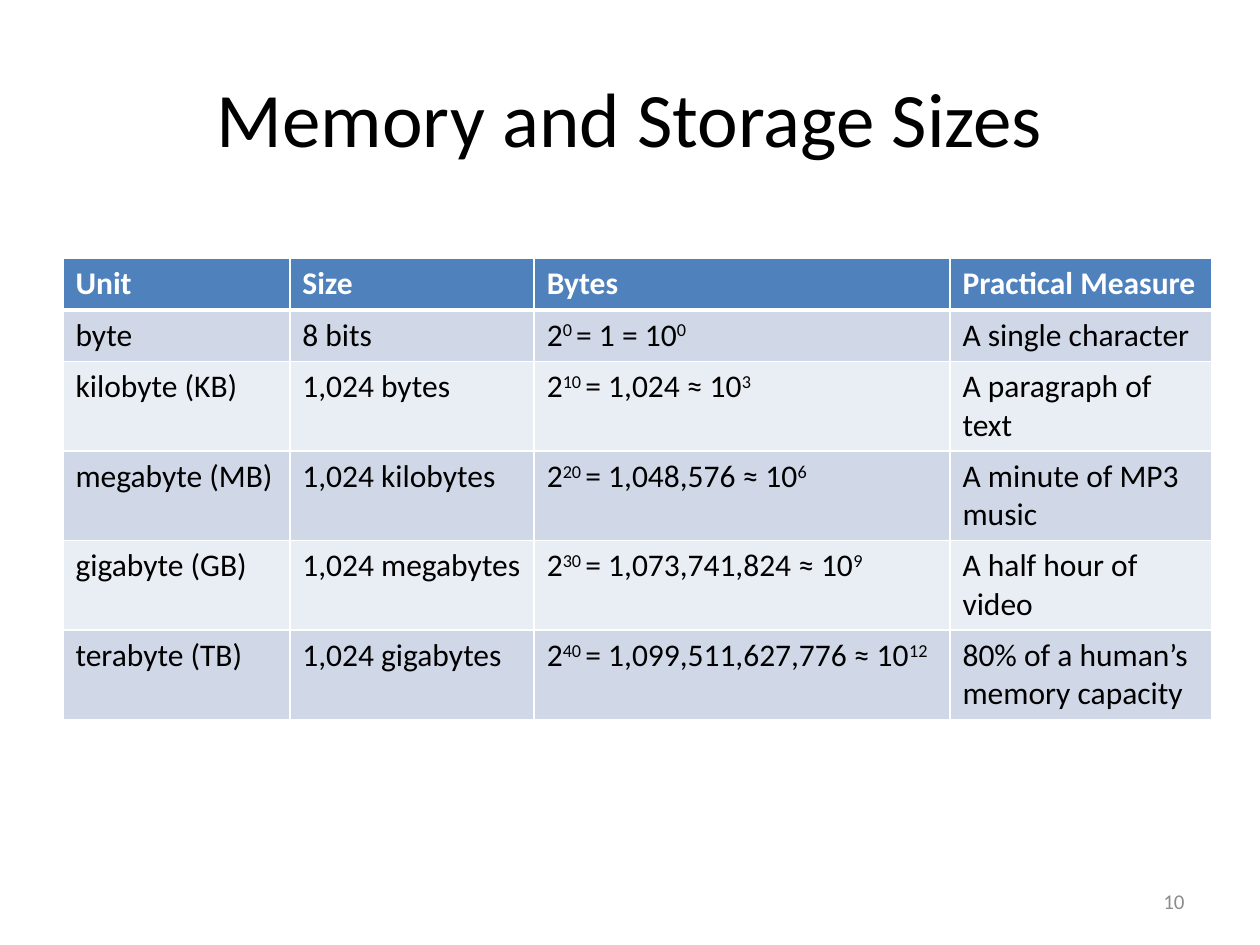
from dataclasses import dataclass

from lxml import etree
from pptx import Presentation
from pptx.dml.color import RGBColor
from pptx.enum.text import MSO_ANCHOR, PP_ALIGN
from pptx.oxml.ns import qn
from pptx.util import Inches, Pt

LEFT, CENTER, RIGHT = PP_ALIGN.LEFT, PP_ALIGN.CENTER, PP_ALIGN.RIGHT
MIDDLE = MSO_ANCHOR.MIDDLE


@dataclass(frozen=True)
class Theme:
    font: str = "Calibri"
    ink: str = "000000"
    white: str = "FFFFFF"
    gray: str = "8C8C8C"
    head: str = "4F81BD"
    bands: tuple[str, str] = ("D0D8E8", "E9EDF4")
    title: int = 44
    body: int = 18
    small: int = 12


@dataclass(frozen=True)
class Unit:
    name: str
    size: str
    power: int
    count: str
    sign: str
    ten: int
    use: str

    def texts(self) -> tuple[str, ...]:
        math = f"2^{self.power} ^= {self.count} {self.sign} 10^{self.ten}"
        return self.name, self.size, math, self.use


THEME = Theme()
HEADS = ("Unit", "Size", "Bytes", "Practical Measure")
WIDTHS = (1.8, 1.94, 3.3, 2.08)
ROW = 0.41
UNITS = (
    Unit("byte", "8 bits", 0, "1", "=", 0, "A single character"),
    Unit("kilobyte (KB)", "1,024 bytes", 10, "1,024", "≈", 3,
         "A paragraph of text"),
    Unit("megabyte (MB)", "1,024 kilobytes", 20, "1,048,576", "≈", 6,
         "A minute of MP3 music"),
    Unit("gigabyte (GB)", "1,024 megabytes", 30, "1,073,741,824", "≈", 9,
         "A half hour of video"),
    Unit("terabyte (TB)", "1,024 gigabytes", 40, "1,099,511,627,776", "≈", 12,
         "80% of a human’s memory capacity"),
)


def write(frame, text: str, *, size: int = THEME.body, color: str = THEME.ink,
          bold: bool = False, align=LEFT) -> None:
    """Fill a text frame; each ^ switches superscript on or off."""
    frame.word_wrap = True
    para = frame.paragraphs[0]
    para.alignment = align
    for i, part in enumerate(text.split("^")):
        run = para.add_run()
        run.text = part
        font = run.font
        font.name, font.size, font.bold = THEME.font, Pt(size), bold
        font.color.rgb = RGBColor.from_string(color)
        if i % 2:
            run._r.get_or_add_rPr().set("baseline", "30000")


def edge(cell, side: str, width: float) -> None:
    props = cell._tc.get_or_add_tcPr()
    line = etree.SubElement(props, qn(f"a:ln{side}"), w=str(Pt(width)))
    fill = etree.SubElement(line, qn("a:solidFill"))
    etree.SubElement(fill, qn("a:srgbClr"), val=THEME.white)


def fill_row(table, row: int, texts: tuple[str, ...]) -> None:
    head = row == 0
    back = THEME.head if head else THEME.bands[(row - 1) % 2]
    for col, text in enumerate(texts):
        cell = table.cell(row, col)
        for side in "LRTB":
            thick = (head and side == "B") or (row == 1 and side == "T")
            edge(cell, side, 3 if thick else 1)
        cell.fill.solid()
        cell.fill.fore_color.rgb = RGBColor.from_string(back)
        write(cell.text_frame, text, bold=head,
              color=THEME.white if head else THEME.ink)


def add_grid(slide) -> None:
    rows = [HEADS, *(unit.texts() for unit in UNITS)]
    table = slide.shapes.add_table(
        len(rows), len(HEADS), Inches(0.5), Inches(2.05),
        Inches(sum(WIDTHS)), Inches(ROW * len(rows))).table
    for col, width in zip(table.columns, WIDTHS):
        col.width = Inches(width)
    for i, texts in enumerate(rows):
        table.rows[i].height = Inches(ROW)
        fill_row(table, i, texts)


def main() -> None:
    deck = Presentation()
    deck.slide_width, deck.slide_height = Inches(10), Inches(7.5)
    slide = deck.slides.add_slide(deck.slide_layouts[5])

    title = slide.shapes.title
    title.left, title.top = Inches(0.5), Inches(0.3)
    title.width, title.height = Inches(9), Inches(1.25)
    title.text_frame.vertical_anchor = MIDDLE
    write(title.text_frame, "Memory and Storage Sizes",
          size=THEME.title, align=CENTER)

    add_grid(slide)

    page = slide.shapes.add_textbox(
        Inches(7.17), Inches(6.95), Inches(2.33), Inches(0.4))
    page.text_frame.vertical_anchor = MIDDLE
    write(page.text_frame, "10", size=THEME.small, color=THEME.gray,
          align=RIGHT)
    deck.save("out.pptx")


if __name__ == "__main__":
    main()
